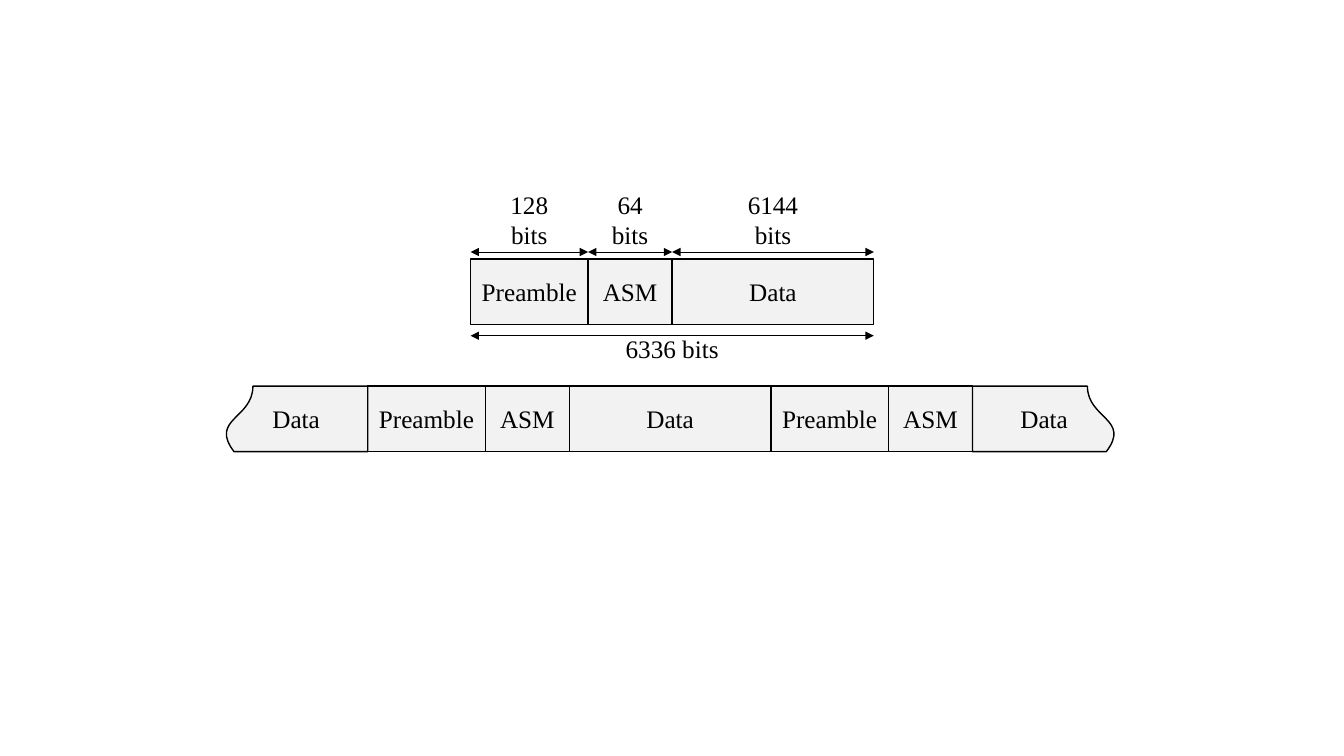
from itertools import accumulate

from lxml.etree import SubElement
from pptx import Presentation
from pptx.dml.color import RGBColor
from pptx.enum.shapes import MSO_CONNECTOR as CONN, MSO_SHAPE as SHAPE
from pptx.enum.text import MSO_ANCHOR as ANCHOR, MSO_AUTO_SIZE as FIT, PP_ALIGN as ALIGN
from pptx.oxml.ns import qn
from pptx.util import Cm, Pt

FIELDS = {
    "Preamble": (2.96, ["128", "bits"]),
    "ASM": (2.12, ["64", "bits"]),
    "Data": (5.08, ["6144", "bits"]),
}
FRAME = ["Preamble", "ASM", "Data"]
STREAM = ["Preamble", "ASM", "Data", "Preamble", "ASM"]
TORN = "Data"
TOTAL = "6336 bits"

BLACK = RGBColor(0x00, 0x00, 0x00)
GREY = RGBColor(0xF2, 0xF2, 0xF2)
FONT = "Times New Roman"

FRAME_X, FRAME_Y = 11.86, 6.53
STREAM_X, STREAM_Y = 9.27, 9.73
CELL_H = 1.65
TORN_W = 3.61
LINE_H = 1.02

prs = Presentation()
prs.slide_width, prs.slide_height = Cm(33.87), Cm(19.05)
shapes = prs.slides.add_slide(prs.slide_layouts[6]).shapes


def write(tf, lines):
    for i, line in enumerate(lines):
        p = tf.add_paragraph() if i else tf.paragraphs[0]
        p.alignment = ALIGN.CENTER
        r = p.add_run()
        r.text = line
        r.font.name, r.font.size = FONT, Pt(18)
        r.font.color.rgb = BLACK


def add_box(kind, x, y, w, h):
    sp = shapes.add_shape(kind, Cm(x), Cm(y), Cm(w), Cm(h))
    sp.shadow.inherit = False
    sp.fill.solid()
    sp.fill.fore_color.rgb = GREY
    sp.line.color.rgb = BLACK
    sp.line.width = Pt(1)
    return sp


def add_label(lines, center, y, w, h):
    tf = shapes.add_textbox(Cm(center - w / 2), Cm(y), Cm(w), Cm(h)).text_frame
    tf.word_wrap = False
    tf.auto_size = FIT.SHAPE_TO_FIT_TEXT
    write(tf, lines)


def add_span(x1, x2, y):
    cxn = shapes.add_connector(CONN.STRAIGHT, Cm(x1), Cm(y), Cm(x2), Cm(y))
    cxn.line.color.rgb = BLACK
    cxn.line.width = Pt(0.5)
    ln = cxn.line._get_or_add_ln()
    for end in ("a:headEnd", "a:tailEnd"):
        SubElement(ln, qn(end), type="triangle")
    SubElement(cxn._element.spPr, qn("a:effectLst"))


def add_row(names, x, y):
    edges = list(accumulate((FIELDS[n][0] for n in names), initial=x))
    for name, left in zip(names, edges):
        sp = add_box(SHAPE.RECTANGLE, left, y, FIELDS[name][0], CELL_H)
        sp.text_frame.vertical_anchor = ANCHOR.MIDDLE
        write(sp.text_frame, [name])
    return edges


def add_torn(center, rotation, flip):
    top = STREAM_Y + (CELL_H - TORN_W) / 2
    sp = add_box(SHAPE.FLOWCHART_DOCUMENT, center - CELL_H / 2, top, CELL_H, TORN_W)
    sp.rotation = rotation
    if flip:
        sp._element.spPr.find(qn("a:xfrm")).set("flipH", "1")
    add_label([TORN], center, STREAM_Y + (CELL_H - LINE_H) / 2, 1.73, LINE_H)


edges = add_row(FRAME, FRAME_X, FRAME_Y)
for name, left, right in zip(FRAME, edges, edges[1:]):
    add_span(left, right, FRAME_Y - 0.18)
    add_label(FIELDS[name][1], (left + right) / 2, 4.65, 1.8, 1.8)
add_span(edges[0], edges[-1], FRAME_Y + CELL_H + 0.28)
add_label([TOTAL], (edges[0] + edges[-1]) / 2, 8.28, 4.65, LINE_H)

edges = add_row(STREAM, STREAM_X, STREAM_Y)
add_torn(edges[-1] + TORN_W / 2, 270, False)
add_torn(edges[0] - TORN_W / 2, 90, True)

prs.save("out.pptx")
